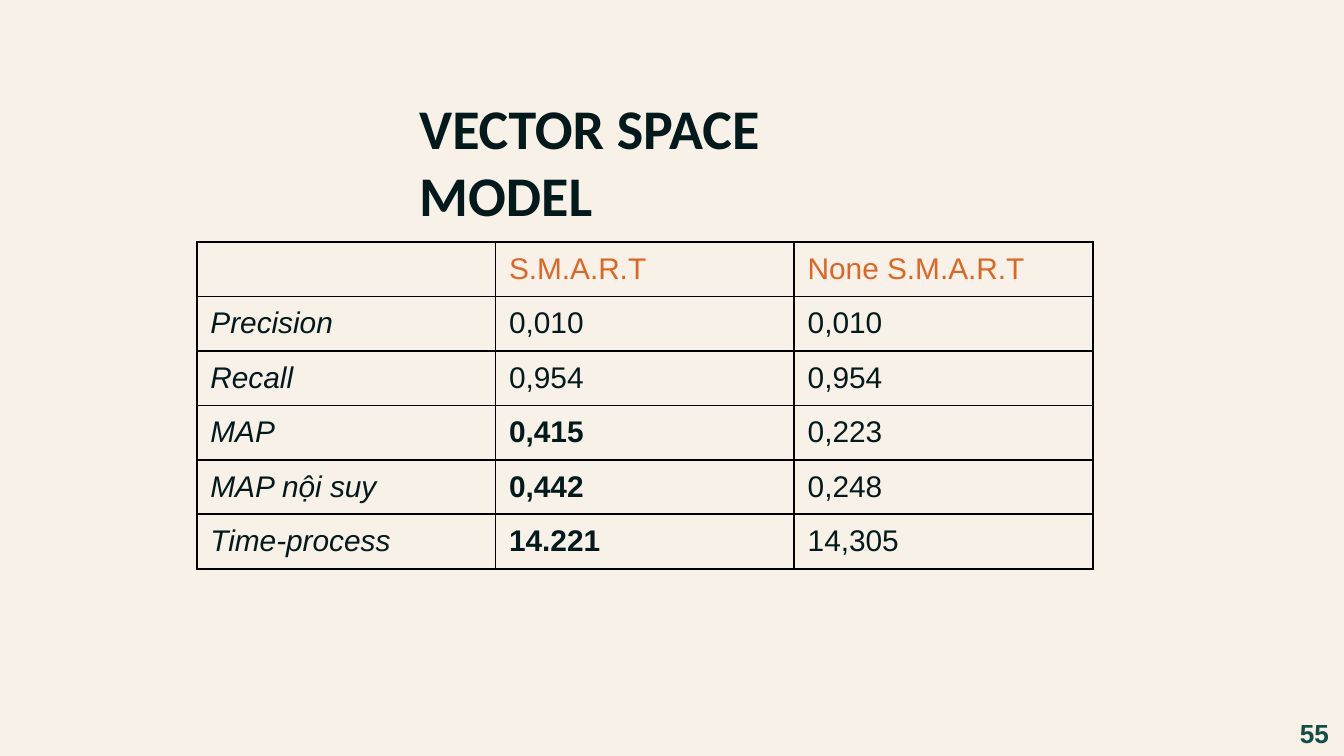
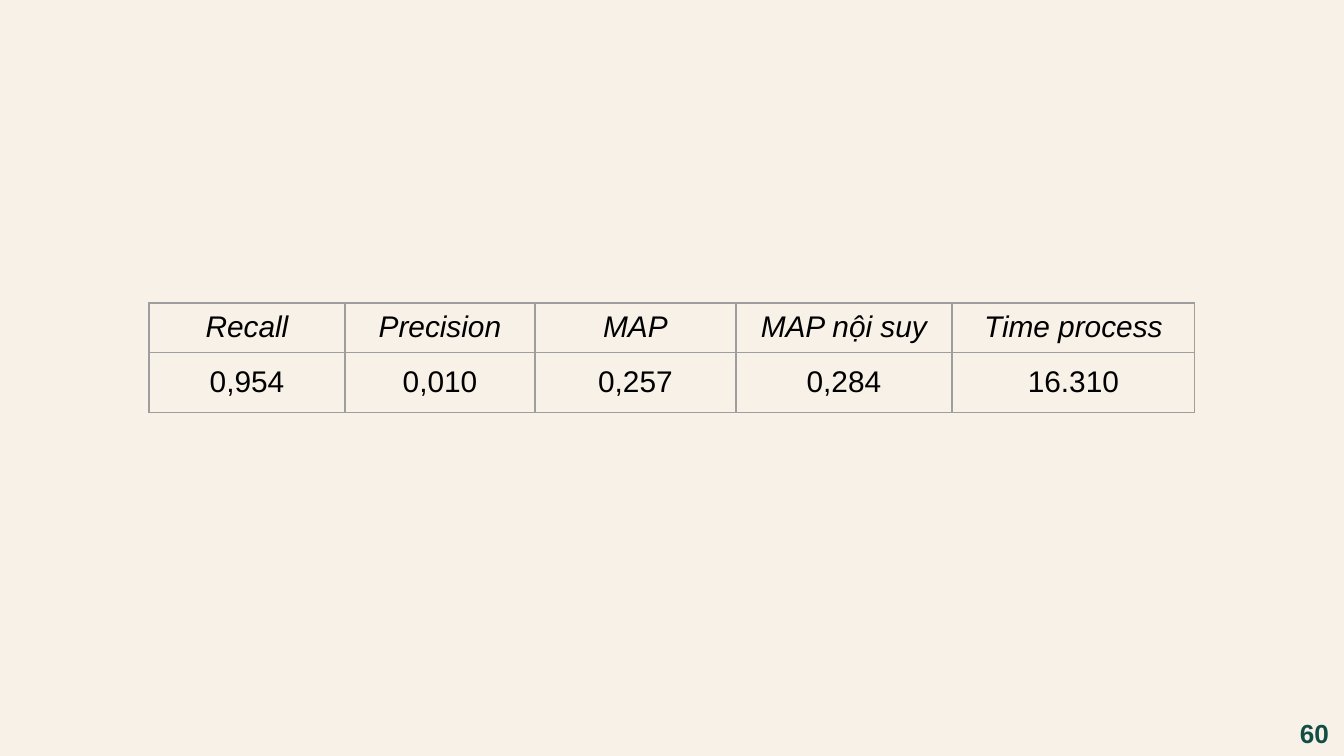
import pptx
import pptx.dml.color
import pptx.enum.text
import pptx.oxml
import pptx.oxml.ns
import pptx.util

EMU_PER_PX = 914400 / 134.4
WIDTH, HEIGHT = 1344, 756
COLORS = {
    "background": "F8F1E8",
    "ink": "031A1D",
    "accent": "DE6624",
    "page": "124E46",
    "black": "000000",
    "grid": "9E9E9E",
}
ALIGN = pptx.enum.text.PP_ALIGN
MIDDLE = pptx.enum.text.MSO_ANCHOR.MIDDLE


def px(length):
    return pptx.util.Emu(round(length * EMU_PER_PX))


def rgb(name):
    return pptx.dml.color.RGBColor.from_string(COLORS[name])


def write(frame, text, font="Arial", size=16, color="ink", bold=False,
          italic=False, align=ALIGN.LEFT):
    paragraph = frame.paragraphs[0]
    paragraph.alignment = align
    run = paragraph.add_run()
    run.text = text
    run.font.name = font
    run.font.size = pptx.util.Pt(size)
    run.font.color.rgb = rgb(color)
    run.font.bold = bold
    run.font.italic = italic


def add_text(slide, box, text, **style):
    shape = slide.shapes.add_textbox(*map(px, box))
    shape.text_frame.word_wrap = True
    write(shape.text_frame, text, **style)


def set_borders(cell, color, points):
    properties = cell._tc.get_or_add_tcPr()
    for index, side in enumerate("LRTB"):
        line = pptx.oxml.parse_xml(
            f'<a:ln{side} {pptx.oxml.ns.nsdecls("a")} w="{pptx.util.Pt(points)}">'
            f'<a:solidFill><a:srgbClr val="{COLORS[color]}"/></a:solidFill></a:ln{side}>')
        properties.insert(index, line)


def add_table(slide, left, top, widths, heights, rows, cell_style, border):
    """Fill a plain grid; cell_style(row, column) gives each cell's text format."""
    frame = slide.shapes.add_table(len(heights), len(widths), px(left), px(top),
                                   px(sum(widths)), px(sum(heights)))
    table = frame.table
    table.first_row = table.horz_banding = False
    for column, width in zip(table.columns, widths):
        column.width = px(width)
    for row, height in zip(table.rows, heights):
        row.height = px(height)
    for r, values in enumerate(rows):
        for c, text in enumerate(values):
            cell = table.cell(r, c)
            cell.fill.background()
            cell.vertical_anchor = MIDDLE
            set_borders(cell, *border)
            if text:
                write(cell.text_frame, text, **cell_style(r, c))


def add_slide(presentation, number):
    slide = presentation.slides.add_slide(presentation.slide_layouts[6])
    slide.background.fill.solid()
    slide.background.fill.fore_color.rgb = rgb("background")
    add_text(slide, (WIDTH - 59, HEIGHT - 45, 59, 45), str(number), size=14,
             color="page", bold=True, align=ALIGN.CENTER)
    return slide


def comparison_slide(presentation):
    slide = add_slide(presentation, 55)
    add_text(slide, (406, 87, 532, 82), "VECTOR SPACE MODEL",
             font="Calibri", size=30, bold=True)
    rows = [
        ("", "S.M.A.R.T", "None S.M.A.R.T"),
        ("Precision", "0,010", "0,010"),
        ("Recall", "0,954", "0,954"),
        ("MAP", "0,415", "0,223"),
        ("MAP nội suy", "0,442", "0,248"),
        ("Time-process", "14.221", "14,305"),
    ]
    left, top, row_height = 197, 242, 54.5
    first_better_row = 3

    def add_part(start, end):
        def style(r, c):
            row = start + r
            return {"color": "ink" if row else "accent", "italic": c == 0,
                    "bold": c == 1 and row >= first_better_row}

        add_table(slide, left, top + start * row_height, [896 / 3] * 3,
                  [row_height] * (end - start), rows[start:end], style, ("black", 1))

    add_part(0, 5)
    add_part(5, 6)


def results_slide(presentation):
    slide = add_slide(presentation, 60)
    rows = [
        ("Recall", "Precision", "MAP", "MAP nội suy", "Time process"),
        ("0,954", "0,010", "0,257", "0,284", "16.310"),
    ]

    def style(r, c):
        return {"color": "black", "italic": r == 0, "align": ALIGN.CENTER}

    add_table(slide, 149, 303, [196, 190, 201, 216, 243], [47, 60], rows, style,
              ("grid", 0.75))


def main():
    presentation = pptx.Presentation()
    presentation.slide_width = px(WIDTH)
    presentation.slide_height = px(HEIGHT)
    comparison_slide(presentation)
    results_slide(presentation)
    presentation.save("out.pptx")


if __name__ == "__main__":
    main()
